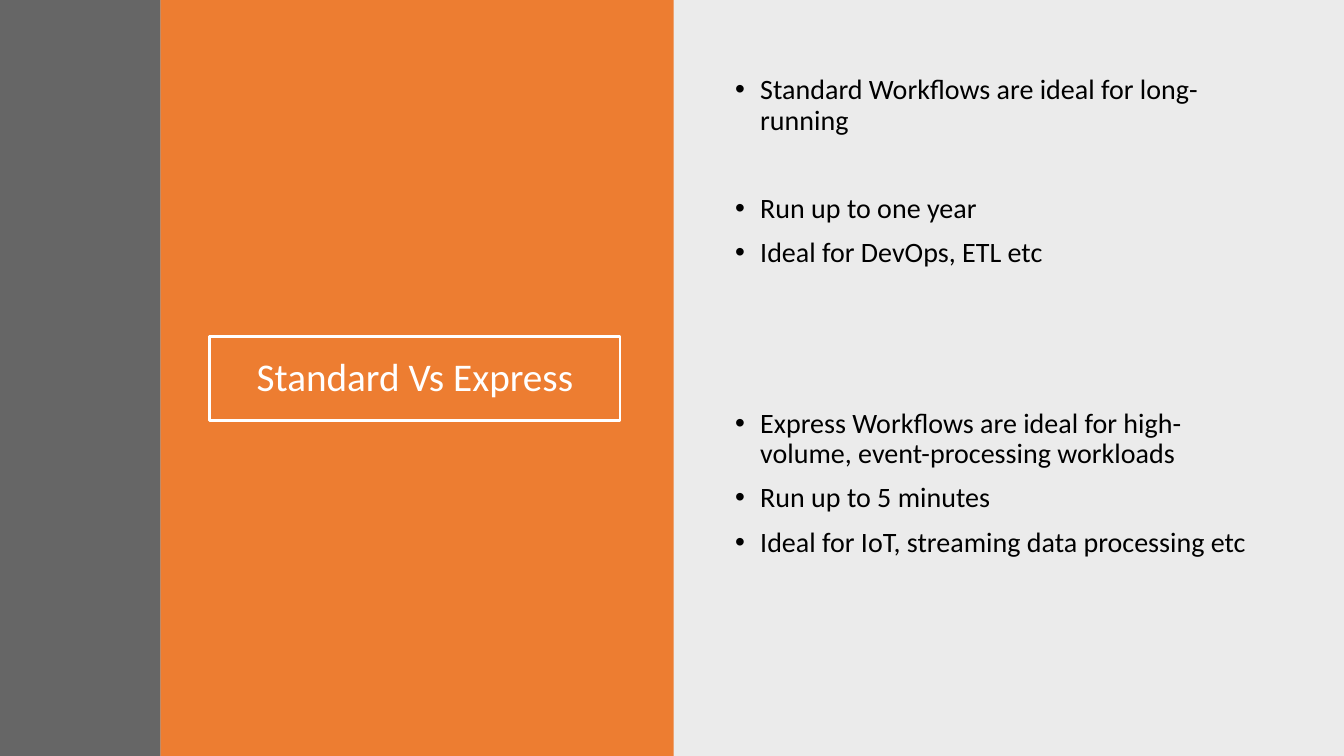
from pptx import Presentation
from pptx.dml.color import RGBColor as Rgb
from pptx.enum.shapes import MSO_SHAPE as Shape
from pptx.enum.text import MSO_ANCHOR as Anchor, MSO_AUTO_SIZE as Fit, PP_ALIGN as Align
from pptx.oxml.ns import qn
from pptx.util import Inches, Pt
from lxml.etree import SubElement as Sub

# Content: each list item is its text and the space above it in points
TITLE = "Standard Vs Express"
LISTS = [
    [("Standard Workflows are ideal for long-running", 10),
     ("Run up to one year", 41.5),
     ("Ideal for DevOps, ETL etc", 10)],
    [("Express Workflows are ideal for high-volume, event-processing workloads", 10),
     ("Run up to 5 minutes", 10),
     ("Ideal for IoT, streaming data processing etc", 10)],
]

# Theme
THEME = {
    "font": "Calibri", "title": Pt(28), "body": Pt(20),
    "white": Rgb(255, 255, 255), "black": Rgb(0, 0, 0),
    "orange": Rgb(0xED, 0x7D, 0x31), "gray": Rgb(0x40, 0x40, 0x40),
}

# Layout: panels are left, width, colour, opacity in percent
WIDE, HIGH = 13.33, 7.5
PANELS = [
    (6.67, 6.66, "black", 8),
    (1.59, 5.09, "orange", 100),
    (0, 1.59, "gray", 80),
]
TITLE_BOX = (2.08, 3.34, 4.07, 0.83)
LIST_X, LIST_Y, LIST_W, LIST_H, STEP = 7.19, 0.7, 5.53, 2.79, 3.31
INDENT = Inches(0.25)


def apply(item, form):
    for name, value in form.items():
        setattr(item, name, value)


def place(shape, box):
    names = ("left", "top", "width", "height")
    apply(shape, dict(zip(names, map(Inches, box))))


def style(par, size, color, **form):
    apply(par, {"line_spacing": 0.9, **form})
    for run in par.runs:
        apply(run.font, {"name": THEME["font"], "size": THEME[size]})
        run.font.color.rgb = THEME[color]


def bullet(par):
    props = par._p.get_or_add_pPr()
    props.set("marL", str(INDENT))
    props.set("indent", str(-INDENT))
    Sub(props, qn("a:buFont"), typeface="Arial")
    Sub(props, qn("a:buChar"), char="•")


deck = Presentation()
apply(deck, {"slide_width": Inches(WIDE), "slide_height": Inches(HIGH)})
slide = deck.slides.add_slide(deck.slide_layouts[3])
title, *bodies = slide.placeholders

# Background panels, kept behind the text
for left, width, color, alpha in PANELS:
    panel = slide.shapes.add_shape(
        Shape.RECTANGLE, *map(Inches, (left, 0, width, HIGH)))
    panel.shadow.inherit = False
    panel.fill.solid()
    panel.fill.fore_color.rgb = THEME[color]
    panel.line.fill.background()
    if alpha < 100:
        tone = panel.element.spPr.find(".//" + qn("a:srgbClr"))
        Sub(tone, qn("a:alpha"), val=str(alpha * 1000))
    title.element.addprevious(panel.element)

# Framed title
place(title, TITLE_BOX)
title.line.color.rgb = THEME["white"]
title.line.width = Pt(2)
frame = title.text_frame
frame.text = TITLE
apply(frame, {"vertical_anchor": Anchor.MIDDLE, "auto_size": Fit.NONE, "word_wrap": True})
style(frame.paragraphs[0], "title", "white", alignment=Align.CENTER)

# Bullet lists, one above the other
for row, (body, items) in enumerate(zip(bodies, LISTS)):
    place(body, (LIST_X, LIST_Y + row * STEP, LIST_W, LIST_H))
    frame = body.text_frame
    frame.text = "\n".join(text for text, _ in items)
    apply(frame, {"vertical_anchor": Anchor.TOP, "auto_size": Fit.NONE, "word_wrap": True})
    for par, (_, gap) in zip(frame.paragraphs, items):
        style(par, "body", "black", space_before=Pt(gap), alignment=Align.LEFT)
        bullet(par)

deck.save("out.pptx")
